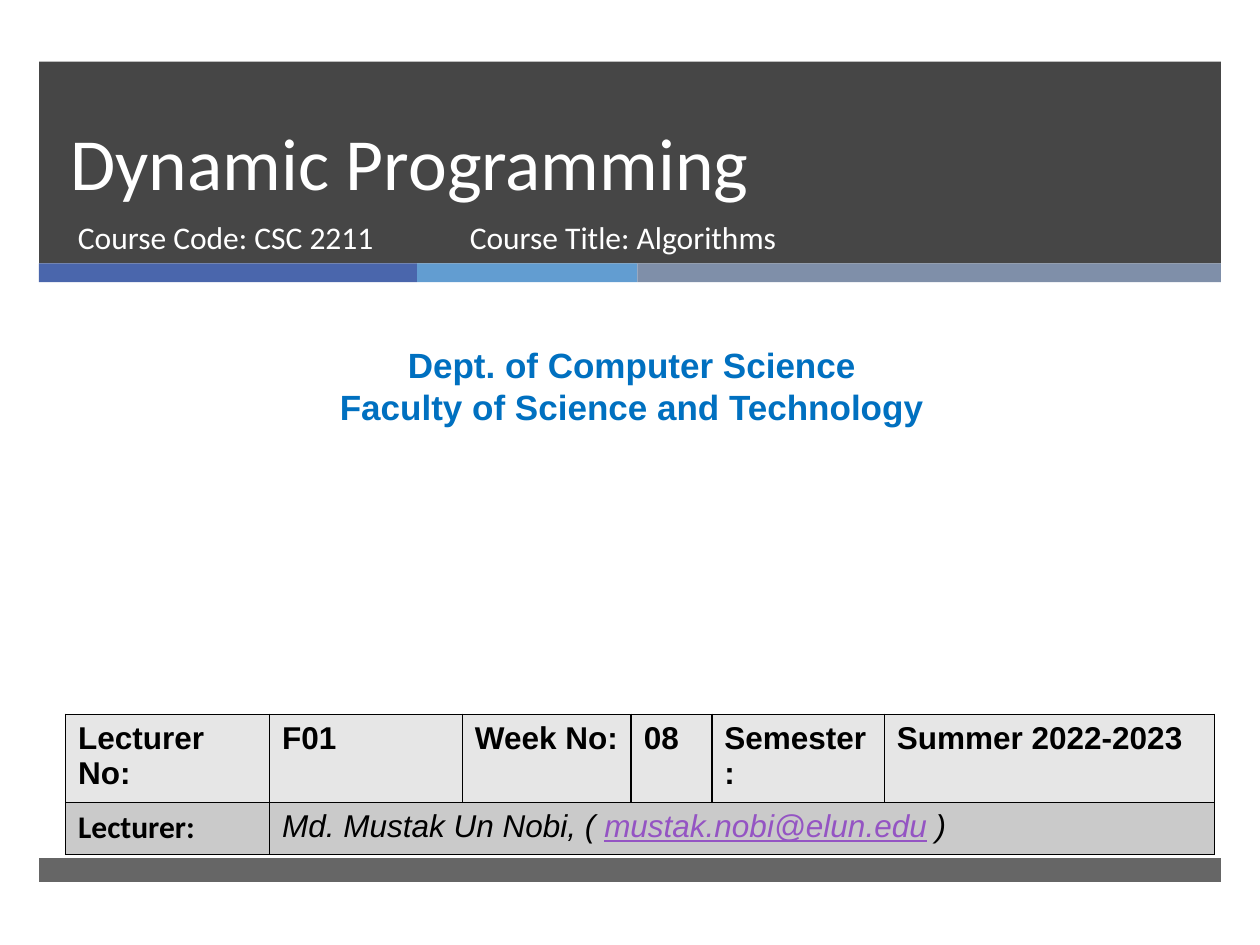
from lxml.etree import SubElement
from pptx import Presentation
from pptx.dml.color import RGBColor
from pptx.enum.shapes import MSO_SHAPE
from pptx.enum.text import MSO_ANCHOR, MSO_AUTO_SIZE, PP_ALIGN
from pptx.oxml import parse_xml
from pptx.oxml.ns import nsdecls, qn
from pptx.util import Pt

PX = 9144  # EMU per px, 100 px to the inch

WHITE = RGBColor(0xFF, 0xFF, 0xFF)
BLACK = RGBColor(0x00, 0x00, 0x00)
CHARCOAL = RGBColor(0x26, 0x26, 0x26)
INDIGO = RGBColor(0x4A, 0x66, 0xAC)
SKY = RGBColor(0x62, 0x9D, 0xD1)
SLATE = RGBColor(0x7F, 0x8F, 0xA9)
BLUE = RGBColor(0x00, 0x70, 0xC0)
PURPLE = RGBColor(0x94, 0x54, 0xC3)
PALE_GREY = RGBColor(0xE6, 0xE6, 0xE6)
MID_GREY = RGBColor(0xCA, 0xCA, 0xCA)

TITLE = {"name": "Calibri", "size": Pt(42), "color": WHITE}
COURSE = {"name": "Calibri", "size": Pt(18), "color": WHITE}
DEPARTMENT = {"name": "Arial", "size": Pt(20), "color": BLUE, "bold": True}
LABEL = {"name": "Arial", "size": Pt(18), "color": BLACK, "bold": True}
LECTURER_LABEL = {**LABEL, "name": "Calibri"}
LECTURER = {**LABEL, "bold": False, "italic": True}
EMAIL = {**LECTURER, "color": PURPLE, "underline": True}


def scaled(*lengths):
    return [length * PX for length in lengths]


def add_span(para, text, style):
    span = para.add_run()
    span.text = text
    for key, value in style.items():
        if key == "color":
            span.font.color.rgb = value
        else:
            setattr(span.font, key, value)


def add_bar(page, box, color, opacity=100):
    bar = page.shapes.add_shape(MSO_SHAPE.RECTANGLE, *scaled(*box))
    bar.shadow.inherit = False
    bar.fill.solid()
    bar.fill.fore_color.rgb = color
    bar.line.fill.background()
    if opacity < 100:
        fill_color = bar.fill._xPr.find(".//" + qn("a:srgbClr"))
        SubElement(fill_color, qn("a:alpha"), val=str(opacity * 1000))


def add_text(page, box, lines, style, align=PP_ALIGN.LEFT):
    frame = page.shapes.add_textbox(*scaled(*box)).text_frame
    frame.word_wrap = True
    for number, line in enumerate(lines):
        para = frame.add_paragraph() if number else frame.paragraphs[0]
        para.alignment = align
        add_span(para, line, style)


def place_title(page, box, text):
    title = page.shapes.title
    # Bring the title in front of the band
    page.shapes._spTree.append(title._element)
    title.left, title.top, title.width, title.height = scaled(*box)
    frame = title.text_frame
    settings = {"auto_size": MSO_AUTO_SIZE.NONE, "word_wrap": True,
                "vertical_anchor": MSO_ANCHOR.BOTTOM}
    for key, value in settings.items():
        setattr(frame, key, value)
    para = frame.paragraphs[0]
    para.alignment = PP_ALIGN.LEFT
    para.line_spacing = 1.1
    add_span(para, text, TITLE)


def build_header(page, box):
    left, top, width, height = box
    band_height = height - 15
    add_bar(page, (left, top, width, band_height), CHARCOAL, 85)

    # Three-colour strip along the bottom of the band
    x = left
    for strip_width, color in ((300, INDIGO), (175, SKY), (463, SLATE)):
        add_bar(page, (x, top + band_height, strip_width, 15), color)
        x += strip_width

    place_title(page, (left + 15, top, 854, 119), "Dynamic Programming")
    for offset, text_width, text in ((21, 305, "Course Code: CSC 2211"),
                                     (332, 455, "Course Title: Algorithms")):
        add_text(page, (left + offset, top + 119, text_width, 53), [text], COURSE)


def format_cell(cell, spans, fill):
    for text, style in spans:
        add_span(cell.text_frame.paragraphs[0], text, style)
    cell.fill.solid()
    cell.fill.fore_color.rgb = fill


def add_borders(cell):
    properties = cell._tc.get_or_add_tcPr()
    for index, side in enumerate(("lnL", "lnR", "lnT", "lnB")):
        properties.insert(index, parse_xml(
            f'<a:{side} {nsdecls("a")} w="{Pt(1)}"><a:solidFill>'
            f'<a:srgbClr val="{BLACK}"/></a:solidFill></a:{side}>'))


def build_lecture_table(page, box):
    column_widths = (162, 153, 134, 64, 137, 262)
    table = page.shapes.add_table(2, len(column_widths), *scaled(*box)).table
    for column, width in zip(table.columns, column_widths):
        column.width = width * PX

    # Lecture details
    details = ("Lecturer No:", "F01", "Week No:", "08", "Semester:", "Summer 2022-2023")
    for number, text in enumerate(details):
        format_cell(table.cell(0, number), [(text, LABEL)], PALE_GREY)

    # Lecturer, across the remaining columns
    table.cell(1, 1).merge(table.cell(1, len(column_widths) - 1))
    format_cell(table.cell(1, 0), [("Lecturer:", LECTURER_LABEL)], MID_GREY)
    contact = [("Md. Mustak Un Nobi, ( ", LECTURER),
               ("mustak.nobi@elun.edu", EMAIL), (" )", LECTURER)]
    format_cell(table.cell(1, 1), contact, MID_GREY)

    for cell in table.iter_cells():
        add_borders(cell)


def main():
    deck = Presentation()
    deck.slide_width, deck.slide_height = scaled(1000, 750)
    page = deck.slides.add_slide(deck.slide_layouts[5])

    build_header(page, (31, 49, 938, 175))
    add_bar(page, (31, 681, 938, 19), CHARCOAL, 70)
    add_text(page, (8, 268, 987, 77),
             ["Dept. of Computer Science", "Faculty of Science and Technology"],
             DEPARTMENT, PP_ALIGN.CENTER)
    build_lecture_table(page, (52, 567, 912, 82))

    deck.save("out.pptx")


if __name__ == "__main__":
    main()
